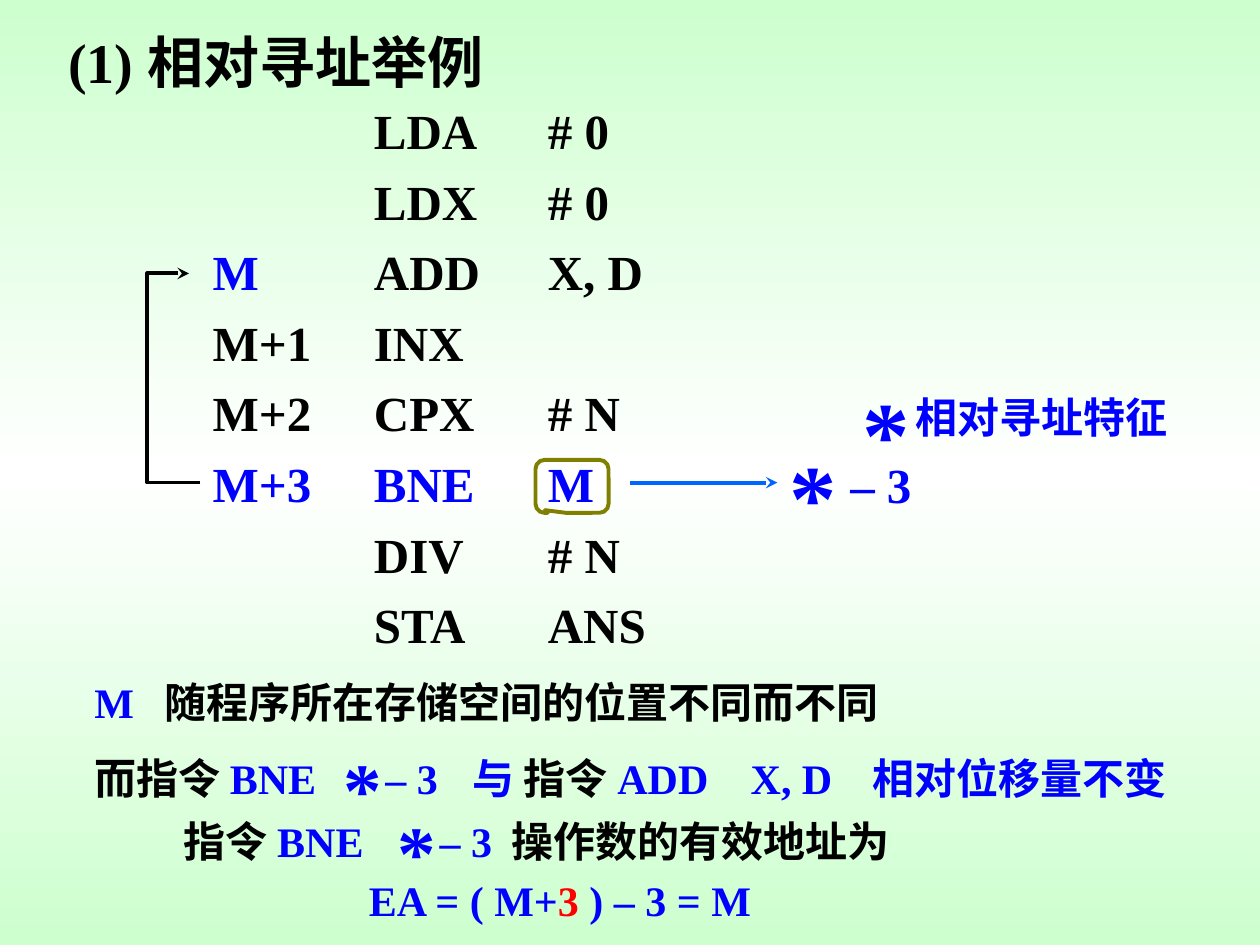
from dataclasses import dataclass

from lxml import etree
from pptx import Presentation
from pptx.dml.color import RGBColor
from pptx.enum.shapes import MSO_CONNECTOR, MSO_SHAPE
from pptx.enum.text import MSO_ANCHOR, PP_ALIGN
from pptx.oxml.ns import qn
from pptx.util import Inches, Pt

STRAIGHT = MSO_CONNECTOR.STRAIGHT
CALLOUT = MSO_SHAPE.ROUNDED_RECTANGULAR_CALLOUT
TOP = MSO_ANCHOR.TOP
LEFT = PP_ALIGN.LEFT


@dataclass(frozen=True)
class Theme:
    font: str = "Times New Roman"
    ink: str = "000000"
    accent: str = "0000FF"
    alert: str = "FF0000"
    arrow: str = "0066FF"
    frame: str = "808000"
    edge: str = "CDFFCE"
    middle: str = "FFFFFF"
    title_size: int = 32
    code_size: int = 28
    note_size: int = 24
    big_star: int = 54
    small_star: int = 44
    line_width: float = 2.25


THEME = Theme()


def rgb(value):
    return RGBColor.from_string(value)


def write(frame, pieces, size, tabs=()):
    """Fill a text frame with (text, colour) pieces; tabs are in inches."""
    frame.word_wrap = True
    frame.vertical_anchor = TOP
    frame.margin_left = frame.margin_right = Inches(0.1)
    frame.margin_top = frame.margin_bottom = Inches(0.05)
    paragraph = frame.paragraphs[0]
    paragraph.alignment = LEFT
    for text, color in pieces:
        run = paragraph.add_run()
        run.text = text
        run.font.name = THEME.font
        run.font.size = Pt(size)
        run.font.bold = True
        run.font.color.rgb = rgb(color)
    if tabs:
        stops = etree.SubElement(paragraph._p.get_or_add_pPr(), qn("a:tabLst"))
        for tab in tabs:
            etree.SubElement(stops, qn("a:tab"), pos=str(Inches(tab)), algn="l")


def add_text(slide, box, pieces, size, tabs=()):
    label = slide.shapes.add_textbox(*map(Inches, box))
    write(label.text_frame, pieces, size, tabs)


def style_line(shape, color, arrow=False):
    shape.line.color.rgb = rgb(color)
    shape.line.width = Pt(THEME.line_width)
    if arrow:
        etree.SubElement(shape.line._get_or_add_ln(), qn("a:tailEnd"), type="stealth")


def paint_background(slide):
    fill = slide.background.fill
    fill.gradient()
    fill.gradient_angle = 270
    stops = fill._fill._gradFill.find(qn("a:gsLst"))
    for stop in list(stops):
        stops.remove(stop)
    for position, color in ((0, THEME.edge), (50, THEME.middle), (100, THEME.edge)):
        stop = etree.SubElement(stops, qn("a:gs"), pos=str(position * 1000))
        etree.SubElement(stop, qn("a:srgbClr"), val=color)


def place_title(slide, box):
    title = slide.shapes.title
    title.left, title.top, title.width, title.height = map(Inches, box)
    write(title.text_frame, [("(1) 相对寻址举例", THEME.ink)], THEME.title_size)


def add_listing(slide, left, top):
    """Place the program, with its address labels and the loop arrow."""
    row_height = 0.56
    program = [
        ("", "LDA\t# 0", THEME.ink),
        ("", "LDX\t# 0", THEME.ink),
        ("M", "ADD\tX, D", THEME.ink),
        ("M+1", "INX", THEME.ink),
        ("M+2", "CPX\t# N", THEME.ink),
        ("M+3", "BNE\tM", THEME.accent),
        ("", "DIV\t# N", THEME.ink),
        ("", "STA\tANS", THEME.ink),
    ]
    for row, (address, instruction, color) in enumerate(program):
        y = top + row * row_height
        add_text(slide, (left + 1.28, y, 2.4, 0.57), [(instruction, color)],
                 THEME.code_size, [1.38])
        if address:
            label_color = THEME.accent if address == "M" else color
            add_text(slide, (left, y, 1.1, 0.57), [(address, label_color)], THEME.code_size)

    loop_end, loop_start = top + 1.42, top + 3.08
    outline = slide.shapes.build_freeform(Inches(left), Inches(loop_start))
    corners = [(left - 0.42, loop_start), (left - 0.42, loop_end), (left - 0.09, loop_end)]
    outline.add_line_segments([(Inches(x), Inches(y)) for x, y in corners], close=False)
    loop = outline.convert_to_shape()
    loop.fill.background()
    loop.shadow.inherit = False
    style_line(loop, THEME.ink, arrow=True)


def add_star(slide, left, top, size):
    add_text(slide, (left, top, 0.75, size / 54), [("*", THEME.accent)], size)


def add_star_minus_three(slide, left, top, star_size, size, offset):
    x, y = offset
    add_text(slide, (left + x, top + y, 0.8, 0.55), [("– 3", THEME.accent)], size)
    add_star(slide, left, top, star_size)


def add_operand_callout(slide, left, top):
    """Frame the operand M and lead it to its relative form."""
    frame = slide.shapes.add_shape(CALLOUT, *map(Inches, (left, top, 0.58, 0.42)))
    for index, value in enumerate((-0.37, 0.45, 0.17)):
        frame.adjustments[index] = value
    frame.fill.background()
    frame.shadow.inherit = False
    style_line(frame, THEME.frame)

    y = Inches(top + 0.18)
    arrow = slide.shapes.add_connector(STRAIGHT, Inches(left + 0.75), y, Inches(left + 1.92), y)
    style_line(arrow, THEME.arrow, arrow=True)
    etree.SubElement(arrow._element.spPr, qn("a:effectLst"))

    add_star_minus_three(slide, left + 1.92, top - 0.23, THEME.big_star,
                         THEME.code_size, (0.48, 0.14))
    add_star(slide, left + 2.5, top - 0.73, THEME.big_star)
    add_text(slide, (left + 2.92, top - 0.59, 2.42, 0.5),
             [("相对寻址特征", THEME.accent)], THEME.note_size)


def add_notes(slide, left, top):
    """Place the explanation and the effective address below the program."""
    ink, accent, size = THEME.ink, THEME.accent, THEME.note_size
    lines = [
        (0, 0, 9, [("M\t", accent), ("随程序所在存储空间的位置不同而不同", ink)], [0.56]),
        (0, 0.6, 9, [("而指令 ", ink), ("BNE\t与 ", accent), ("指令 ", ink),
                     ("ADD\tX, D\t相对位移量不变", accent)], [3, 5.21, 6.18]),
        (0.71, 1.1, 2, [("指令 ", ink), ("BNE", accent)], []),
        (3.31, 1.1, 3.4, [("操作数的有效地址为", ink)], []),
        (2.18, 1.57, 3.5, [("EA = ( M+", accent), ("3", THEME.alert),
                           (" ) – 3 = M", accent)], []),
    ]
    for x, y, width, pieces, tabs in lines:
        add_text(slide, (left + x, top + y, width, 0.5), pieces, size, tabs)
    for x, y in ((1.98, 0.51), (2.41, 1.01)):
        add_star_minus_three(slide, left + x, top + y, THEME.small_star, size, (0.33, 0.09))


def main():
    deck = Presentation()
    deck.slide_width, deck.slide_height = Inches(10), Inches(7.5)
    slide = deck.slides.add_slide(deck.slide_layouts[5])
    paint_background(slide)
    place_title(slide, (0.44, 0.17, 6, 0.64))
    add_listing(slide, 1.59, 0.75)
    add_operand_callout(slide, 4.25, 3.65)
    add_notes(slide, 0.65, 5.32)
    deck.save("out.pptx")


if __name__ == "__main__":
    main()
